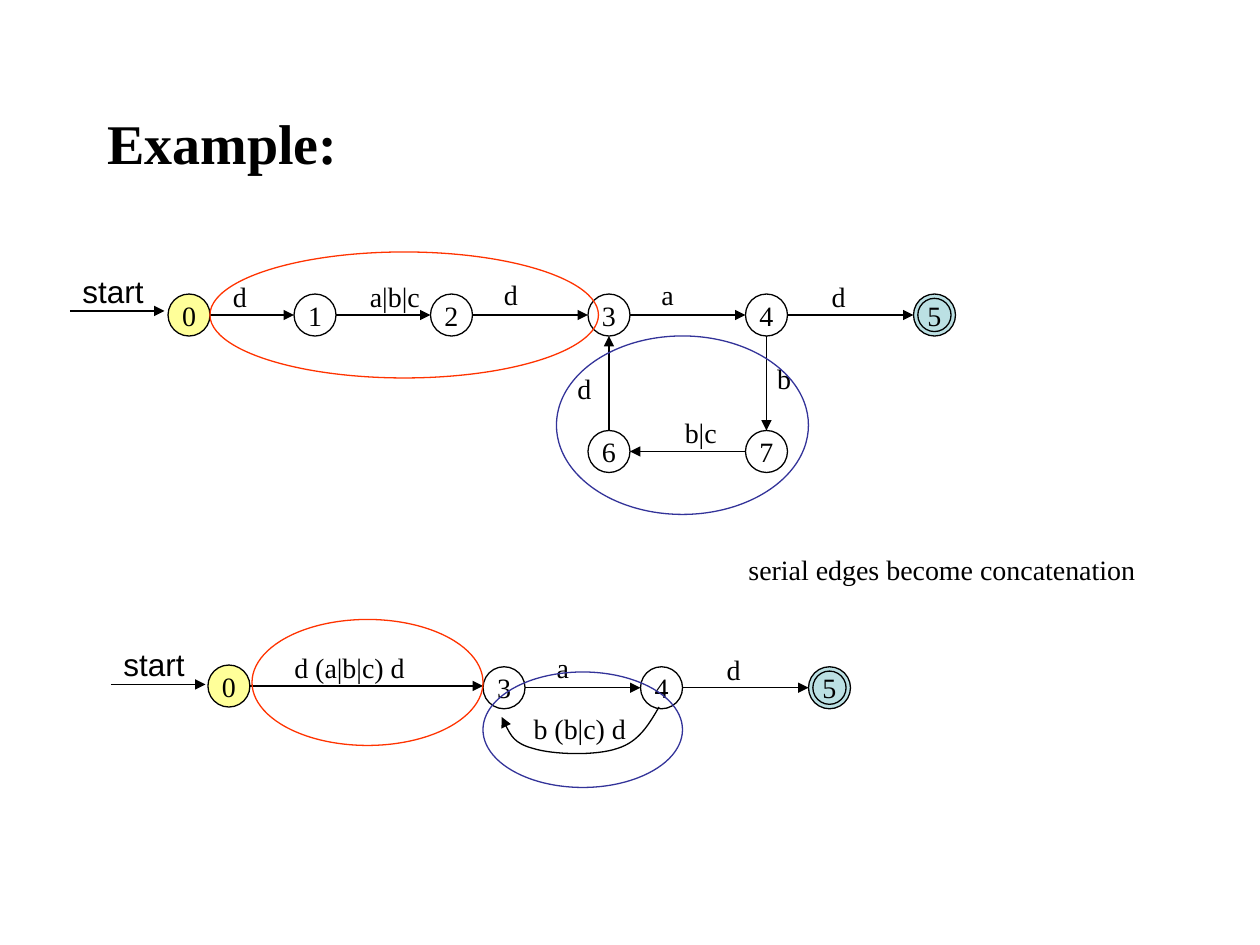
from lxml import etree
from pptx import Presentation
from pptx.dml.color import RGBColor
from pptx.enum import shapes, text
from pptx.oxml import ns
from pptx.util import Pt

BLACK = RGBColor(0x00, 0x00, 0x00)
YELLOW = RGBColor(0xFF, 0xFF, 0x99)
TEAL = RGBColor(0xBB, 0xE0, 0xE3)
RED = RGBColor(0xFF, 0x33, 0x00)
BLUE = RGBColor(0x33, 0x33, 0x99)

STATE = 24
RING = 19
STROKE = 0.74
LABEL_HEIGHT = 26.6
START_LENGTH = 54
SERIF = {"name": "Times New Roman", "size": Pt(16), "bold": False}
SANS = {"name": "Arial", "size": Pt(18), "bold": False}
HEADING = {"name": "Times New Roman", "size": Pt(32), "bold": True}
FILLS = {"0": YELLOW, "5": TEAL}


def write(frame, words, font, **layout):
    """Put one formatted line of words into a text frame."""
    for name, value in layout.items():
        setattr(frame, name, value)
    para = frame.paragraphs[0]
    span = para.add_run()
    span.text = words
    for name, value in font.items():
        setattr(span.font, name, value)
    span.font.color.rgb = BLACK
    return para


def outline(shape, color):
    """Give a shape or connector a thin line."""
    shape.line.color.rgb = color
    shape.line.width = Pt(STROKE)


def point_arrow(shape):
    """Add a triangular arrowhead at the end of a line."""
    tail = etree.SubElement(shape.line._get_or_add_ln(), ns.qn("a:tailEnd"))
    tail.set("type", "triangle")


def add_oval(page, left, top, width, height, color=BLACK, fill=None):
    """Draw an ellipse, hollow unless a fill is given."""
    oval = page.shapes.add_shape(
        shapes.MSO_SHAPE.OVAL, Pt(left), Pt(top), Pt(width), Pt(height))
    oval.shadow.inherit = False
    if fill is None:
        oval.fill.background()
    else:
        oval.fill.solid()
        oval.fill.fore_color.rgb = fill
    outline(oval, color)
    return oval


def add_arrow(owner, start, end):
    """Draw a straight arrow between two points."""
    arrow = owner.shapes.add_connector(
        shapes.MSO_CONNECTOR.STRAIGHT, *map(Pt, (*start, *end)))
    outline(arrow, BLACK)
    point_arrow(arrow)
    etree.SubElement(arrow._element.spPr, ns.qn("a:effectLst"))


def add_label(owner, words, left, top, width, height=LABEL_HEIGHT, font=SERIF):
    """Add an unwrapped text box."""
    label = owner.shapes.add_textbox(Pt(left), Pt(top), Pt(width), Pt(height))
    write(label.text_frame, words, font, word_wrap=False,
          auto_size=text.MSO_AUTO_SIZE.SHAPE_TO_FIT_TEXT)


def add_state(page, name, left, top):
    """Draw a numbered state, with an inner ring when it accepts."""
    state = add_oval(page, left, top, STATE, STATE, fill=FILLS.get(name))
    para = write(state.text_frame, name, SERIF, word_wrap=False,
                 vertical_anchor=text.MSO_ANCHOR.MIDDLE)
    para.alignment = text.PP_ALIGN.CENTER
    if name == "5":
        inset = (STATE - RING) / 2
        add_oval(page, left + inset, top + inset, RING, RING)


def add_start(page, left, top):
    """Group the start word with its arrow, which begins at the given point."""
    group = page.shapes.add_group_shape()
    add_arrow(group, (left, top), (left + START_LENGTH, top))
    add_label(group, "start", left, top - 26, 51, 29, SANS)


def edge_ends(source, target):
    """Find where an axis-aligned edge leaves and meets two states."""
    half = STATE / 2
    (x, y), (to_x, to_y) = source, target
    if abs(to_x - x) > abs(to_y - y):
        side = half if to_x > x else -half
        return (x + half + side, y + half), (to_x + half - side, y + half)
    side = half if to_y > y else -half
    return (x + half, y + half + side), (x + half, to_y + half - side)


def add_curve(page, points):
    """Draw a curved arrow through a start point and Bezier triples."""
    points = [(Pt(x), Pt(y)) for x, y in points]
    builder = page.shapes.build_freeform(*points[0], scale=1.0)
    builder.add_line_segments(points[1:], close=False)
    curve = builder.convert_to_shape()
    steps = list(curve._element.iter(ns.qn("a:lnTo")))
    for first in range(0, len(steps), 3):
        bezier = etree.Element(ns.qn("a:cubicBezTo"))
        steps[first].addprevious(bezier)
        for step in steps[first:first + 3]:
            bezier.append(step[0])
            step.getparent().remove(step)
    curve.shadow.inherit = False
    curve.fill.background()
    outline(curve, BLACK)
    point_arrow(curve)


def add_automaton(page, box, start_top, states, edges, loops, curve=()):
    """Draw a state diagram relative to the corner of its box."""
    left, top = box
    places = {name: (left + x, top + y) for name, (x, y) in states.items()}
    for name, place in places.items():
        add_state(page, name, *place)
    for source, target, words, x, y, width in edges:
        if (source, target) != ("4", "3"):
            add_arrow(page, *edge_ends(places[source], places[target]))
        add_label(page, words, left + x, top + y, width)
    if curve:
        add_curve(page, [(left + x, top + y) for x, y in curve])
    for color, x, y, width, height in loops:
        add_oval(page, left + x, top + y, width, height, color)
    add_start(page, left, top + start_top)


def add_title(page, words, left, top, width, height):
    """Place and format the slide title."""
    title = page.shapes.title
    box = {"left": left, "top": top, "width": width, "height": height}
    for name, value in box.items():
        setattr(title, name, Pt(value))
    para = write(title.text_frame, words, HEADING, word_wrap=True,
                 auto_size=text.MSO_AUTO_SIZE.NONE,
                 vertical_anchor=text.MSO_ANCHOR.MIDDLE)
    para.alignment = text.PP_ALIGN.LEFT


deck = Presentation()
deck.slide_width, deck.slide_height = Pt(720), Pt(540)
page = deck.slides.add_slide(deck.slide_layouts[5])
add_title(page, "Example:", 54, 36, 612, 90)
add_automaton(
    page, (40, 144), 33.7,
    {"0": (56, 24), "1": (128, 24), "2": (206, 24), "3": (296, 24),
     "4": (386, 24), "5": (482, 24), "6": (296, 102), "7": (386, 102)},
    [("0", "1", "d", 86, 12.2, 22.5), ("1", "2", "a|b|c", 164.3, 12.2, 44),
     ("2", "3", "d", 240.8, 10.8, 22.5), ("3", "4", "a", 330.8, 10.8, 22),
     ("4", "5", "d", 428.2, 12.2, 22.5), ("4", "7", "b", 397, 59, 22.5),
     ("7", "6", "b|c", 344.2, 90, 34), ("6", "3", "d", 282.8, 64.8, 22.5)],
    [(RED, 80, 0, 222, 72), (BLUE, 278, 48, 144, 102)])
add_automaton(
    page, (63.4, 354), 37.1,
    {"0": (55.4, 26), "3": (212.6, 27), "4": (302.6, 27), "5": (398.6, 27)},
    [("0", "3", "d (a|b|c) d", 97.7, 14.2, 79), ("3", "4", "a", 247.6, 14.2, 22),
     ("4", "5", "d", 344.8, 15.4, 22.5), ("4", "3", "b (b|c) d", 234.4, 49.2, 68)],
    [(RED, 80.6, 0, 132, 72), (BLUE, 212.6, 30, 114, 66)],
    [(313.2, 50), (307.4, 60), (301.6, 70), (289.4, 73.7), (277.2, 78),
     (252.7, 77.3), (241.2, 73.7), (230.4, 70.8), (226.8, 63.6), (223.2, 55.7)])
add_label(page, "serial edges become concatenation", 420.6, 312.1, 236)
deck.save("out.pptx")
